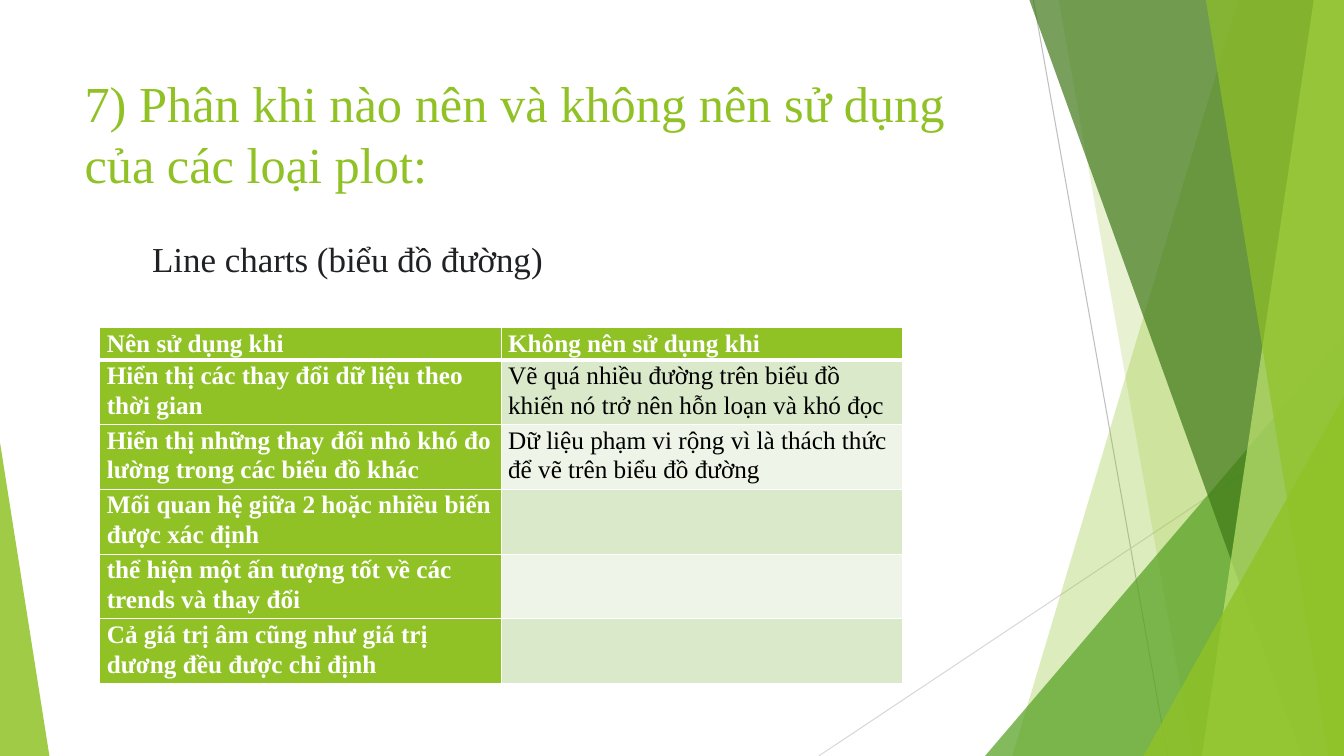
from lxml import etree
from pptx import Presentation
from pptx.dml.color import RGBColor
from pptx.enum.shapes import MSO_CONNECTOR, MSO_SHAPE
from pptx.enum.text import MSO_ANCHOR
from pptx.oxml.ns import qn
from pptx.util import Inches, Pt

STRAIGHT = MSO_CONNECTOR.STRAIGHT
TRIANGLE = MSO_SHAPE.ISOSCELES_TRIANGLE
TOP = MSO_ANCHOR.TOP

FONT = "Times New Roman"
GREEN = "90C226"
WHITE = "FFFFFF"
BANDS = ("DBE9CB", "EEF4E7")
ROWS = [
    ("Nên sử dụng khi", "Không nên sử dụng khi"),
    ("Hiển thị các thay đổi dữ liệu theo thời gian",
     "Vẽ quá nhiều đường trên biểu đồ khiến nó trở nên hỗn loạn và khó đọc"),
    ("Hiển thị những thay đổi nhỏ khó đo lường trong các biểu đồ khác",
     "Dữ liệu phạm vi rộng vì là thách thức để vẽ trên biểu đồ đường"),
    ("Mối quan hệ giữa 2 hoặc nhiều biến được xác định", ""),
    ("thể hiện một ấn tượng tốt về các trends và thay đổi", ""),
    ("Cả giá trị âm cũng như giá trị dương đều được chỉ định", ""),
]


def color(value):
    return RGBColor.from_string(value)


def paint(shape, fill, opacity):
    shape.shadow.inherit = False
    shape.line.fill.background()
    shape.fill.solid()
    shape.fill.fore_color.rgb = color(fill)
    tint = shape.fill._xPr.find(qn("a:solidFill"))[0]
    etree.SubElement(tint, qn("a:alpha"), val=str(opacity * 1000))


def add_ribbon(page, box, top_reach, bottom_reach, fill, opacity):
    left, top, width, height = box
    right, bottom = left + width, top + height
    corners = [(right - top_reach, top), (right, top),
               (right, bottom), (right - bottom_reach, bottom)]
    points = [(Inches(x), Inches(y)) for x, y in corners]
    builder = page.shapes.build_freeform(*points[0])
    builder.add_line_segments(points[1:])
    paint(builder.convert_to_shape(), fill, opacity)


def add_triangle(page, box, apex, fill, opacity):
    shape = page.shapes.add_shape(TRIANGLE, *map(Inches, box))
    shape.adjustments[0] = apex
    paint(shape, fill, opacity)


def add_corner_triangle(page, box, width, height, fill, opacity):
    left, top, box_width, box_height = box
    corner = (left + box_width - width, top + box_height - height, width, height)
    add_triangle(page, corner, 1, fill, opacity)


def add_hairline(page, start, end, shade):
    line = page.shapes.add_connector(STRAIGHT, *map(Inches, start + end))
    line.line.color.rgb = color(shade)
    line.line.width = Pt(0.75)
    etree.SubElement(line._element.spPr, qn("a:effectLst"))


def add_facets(page, box):
    left, top, width, height = box
    right, bottom = left + width, top + height
    add_hairline(page, (left + 2.13, top), (left + 3.46, bottom), "BFBFBF")
    add_hairline(page, (right, top + 4.03), (left, bottom), "D8D8D8")
    add_ribbon(page, box, 1.05, 3.29, GREEN, 30)
    add_ribbon(page, box, 2.83, 1.5, GREEN, 20)
    add_corner_triangle(page, box, 3.56, 4.17, "54A021", 72)
    add_ribbon(page, box, 3.12, 0.42, "3F7818", 70)
    add_ribbon(page, box, 0.3, 1.41, "BFE471", 70)
    add_ribbon(page, box, 1.37, 0.15, GREEN, 65)
    add_corner_triangle(page, box, 1.99, 3.57, GREEN, 80)


def style_span(para, size, shade, bold=False):
    for span in para.runs:
        span.font.name = FONT
        span.font.size = Pt(size)
        span.font.bold = bold
        span.font.color.rgb = color(shade)


def add_text(page, box, text, size, shade):
    frame = page.shapes.add_textbox(*map(Inches, box)).text_frame
    frame.word_wrap = True
    frame.vertical_anchor = TOP
    frame.text = text
    style_span(frame.paragraphs[0], size, shade)


def set_borders(cell, bottom_width):
    properties = cell._tc.get_or_add_tcPr()
    widths = {"a:lnL": 1, "a:lnR": 1, "a:lnT": 1, "a:lnB": bottom_width}
    for position, (side, width) in enumerate(widths.items()):
        border = etree.Element(qn(side), w=str(Pt(width)))
        fill = etree.SubElement(border, qn("a:solidFill"))
        etree.SubElement(fill, qn("a:srgbClr"), val=WHITE)
        properties.insert(position, border)


def fill_cell(cell, text, row, column):
    accent = row == 0 or column == 0
    cell.fill.solid()
    cell.fill.fore_color.rgb = color(GREEN if accent else BANDS[(row - 1) % 2])
    set_borders(cell, 3 if row == 0 else 1)
    cell.margin_left = cell.margin_right = Inches(0.07)
    cell.margin_top = cell.margin_bottom = 0
    if text:
        cell.text = text
        para = cell.text_frame.paragraphs[0]
        para.line_spacing = 1.07
        style_span(para, 18, WHITE if accent else "000000", accent)


def add_usage_table(page, box):
    frame = page.shapes.add_table(len(ROWS), len(ROWS[0]), *map(Inches, box))
    table = frame.table
    for row, texts in enumerate(ROWS):
        table.rows[row].height = Inches(0.29 if row == 0 else 0.59)
        for column, text in enumerate(texts):
            fill_cell(table.cell(row, column), text, row, column)


def main():
    deck = Presentation()
    deck.slide_width, deck.slide_height = Inches(13.33), Inches(7.5)
    page = deck.slides.add_slide(deck.slide_layouts[6])
    add_facets(page, (8.12, 0, 5.21, 7.5))
    add_triangle(page, (0, 4.39, 0.49, 3.11), 0, GREEN, 85)
    add_text(page, (0.74, 0.67, 9.4, 1.44),
             "7) Phân khi nào nên và không nên sử dụng của các loại plot:", 36, GREEN)
    add_text(page, (1.41, 2.31, 4.21, 0.52), "Line charts (biểu đồ đường)", 25, "202124")
    add_usage_table(page, (0.99, 3.25, 7.96, 3.24))
    deck.save("out.pptx")


if __name__ == "__main__":
    main()
